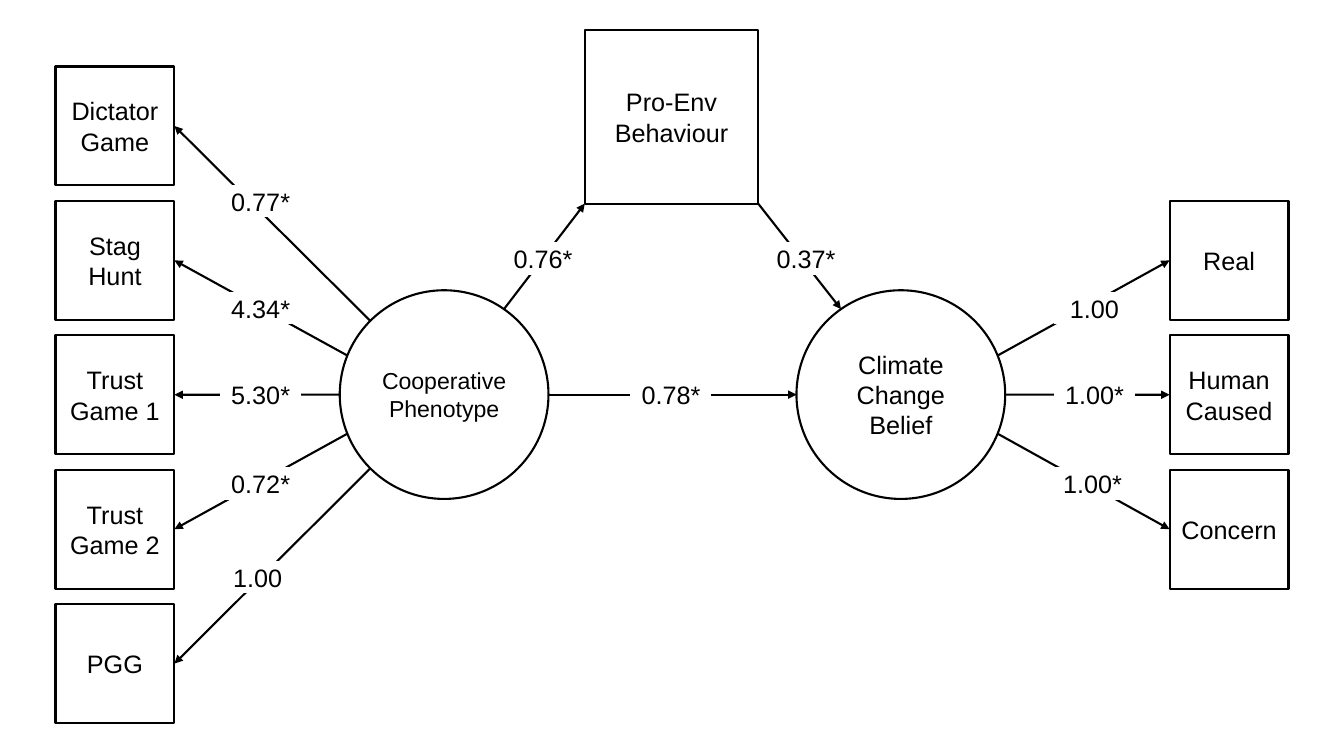
from math import cos, radians, sin

from lxml import etree
from pptx import Presentation
from pptx.dml.color import RGBColor
from pptx.enum.shapes import MSO_CONNECTOR, MSO_SHAPE
from pptx.enum.text import MSO_ANCHOR, PP_ALIGN
from pptx.oxml.ns import qn
from pptx.util import Inches, Pt

RECTANGLE, OVAL = MSO_SHAPE.RECTANGLE, MSO_SHAPE.OVAL
STRAIGHT = MSO_CONNECTOR.STRAIGHT
MIDDLE, CENTER = MSO_ANCHOR.MIDDLE, PP_ALIGN.CENTER
BLACK = RGBColor(0x00, 0x00, 0x00)
WHITE = RGBColor(0xFF, 0xFF, 0xFF)
FONT = "Arial"
LEFT_SIDE, RIGHT_SIDE = 1, 3

BOX_SIZE = 1.18
FIRST_ROW_TOP, ROW_PITCH = 0.66, 4 / 3
GAMES_LEFT, BELIEFS_LEFT = 0.55, 11.6
LATENT_SIZE, LATENT_TOP = 2.07, 2.88
PHENOTYPE_LEFT, BELIEF_LEFT = 3.37, 7.9
BEHAVIOUR_LEFT, BEHAVIOUR_TOP, BEHAVIOUR_SIZE = 5.8, 0.3, 1.72
MIDLINE = LATENT_TOP + LATENT_SIZE / 2

# Indicator, row, angle on the circle, loading, label left, label top
GAMES = [
    ("Dictator Game", 0, 135, "0.77*", 2.19, 1.84),
    ("Stag Hunt", 1, 158, "4.34*", 2.19, 2.9),
    ("Trust Game 1", 2, 180, "5.30*", 2.19, 3.76),
    ("Trust Game 2", 3, 202, "0.72*", 2.19, 4.64),
    ("PGG", 4, 225, "1.00", 2.16, 5.57),
]
BELIEFS = [
    ("Real", 1, 22, "1.00", 10.46, 2.9),
    ("Human Caused", 2, 0, "1.00*", 10.46, 3.76),
    ("Concern", 3, -22, "1.00*", 10.44, 4.64),
]
# Coefficient, label left, label top
PATHS = [("0.76*", 4.99, 2.41), ("0.37*", 7.6, 2.41), ("0.78*", 6.26, 3.76)]


def add_node(slide, kind, text, left, top, width, height,
             size=18, outline=BLACK, weight=1.5, inset=0.08):
    node = slide.shapes.add_shape(
        kind, Inches(left), Inches(top), Inches(width), Inches(height))
    node.shadow.inherit = False
    node.fill.solid()
    node.fill.fore_color.rgb = WHITE
    node.line.color.rgb = outline
    node.line.width = Pt(weight)
    frame = node.text_frame
    frame.word_wrap = True
    frame.vertical_anchor = MIDDLE
    frame.margin_left = frame.margin_right = Inches(inset)
    frame.margin_top = frame.margin_bottom = Inches(0)
    frame.text = text
    for paragraph in frame.paragraphs:
        paragraph.alignment = CENTER
        paragraph.font.name = FONT
        paragraph.font.size = Pt(size)
        paragraph.font.color.rgb = BLACK
    return node


def add_arrow(slide, start, end):
    arrow = slide.shapes.add_connector(STRAIGHT, *map(Inches, start + end))
    arrow.line.color.rgb = BLACK
    arrow.line.width = Pt(1.5)
    etree.SubElement(arrow.line._get_or_add_ln(), qn("a:tailEnd"), type="triangle")
    etree.SubElement(arrow._element.spPr, qn("a:effectLst"))
    return arrow


def add_coefficient(slide, text, left, top):
    add_node(slide, RECTANGLE, text, left, top, 0.79, 0.31,
             outline=WHITE, weight=1, inset=0)


def rim_point(circle_left, angle):
    """Point on a latent circle, counter-clockwise from its right side."""
    radius = LATENT_SIZE / 2
    return (circle_left + radius + radius * cos(radians(angle)),
            MIDLINE - radius * sin(radians(angle)))


def add_indicators(slide, indicators, left, circle_left, side):
    """Boxes in a column, each with an arrow from the circle and its loading."""
    edge = left + BOX_SIZE if side == RIGHT_SIDE else left
    for name, row, angle, loading, label_left, label_top in indicators:
        top = FIRST_ROW_TOP + row * ROW_PITCH
        box = add_node(slide, RECTANGLE, name, left, top, BOX_SIZE, BOX_SIZE)
        arrow = add_arrow(slide, rim_point(circle_left, angle),
                          (edge, top + BOX_SIZE / 2))
        arrow.end_connect(box, side)
        add_coefficient(slide, loading, label_left, label_top)


def add_structure(slide):
    """The two latent circles, the behaviour box and the paths between them."""
    add_node(slide, OVAL, "Cooperative\nPhenotype", PHENOTYPE_LEFT, LATENT_TOP,
             LATENT_SIZE, LATENT_SIZE, size=16.5)
    add_node(slide, OVAL, "Climate Change Belief", BELIEF_LEFT, LATENT_TOP,
             LATENT_SIZE, LATENT_SIZE)
    add_node(slide, RECTANGLE, "Pro-Env Behaviour", BEHAVIOUR_LEFT, BEHAVIOUR_TOP,
             BEHAVIOUR_SIZE, BEHAVIOUR_SIZE)
    behaviour_bottom = BEHAVIOUR_TOP + BEHAVIOUR_SIZE
    add_arrow(slide, rim_point(PHENOTYPE_LEFT, 55),
              (BEHAVIOUR_LEFT, behaviour_bottom))
    add_arrow(slide, (BEHAVIOUR_LEFT + BEHAVIOUR_SIZE, behaviour_bottom),
              rim_point(BELIEF_LEFT, 125))
    add_arrow(slide, rim_point(PHENOTYPE_LEFT, 0), rim_point(BELIEF_LEFT, 180))
    for path_label in PATHS:
        add_coefficient(slide, *path_label)


def main():
    prs = Presentation()
    prs.slide_width, prs.slide_height = Inches(13.33), Inches(7.5)
    slide = prs.slides.add_slide(prs.slide_layouts[6])
    add_structure(slide)
    add_indicators(slide, GAMES, GAMES_LEFT, PHENOTYPE_LEFT, RIGHT_SIDE)
    add_indicators(slide, BELIEFS, BELIEFS_LEFT, BELIEF_LEFT, LEFT_SIDE)
    prs.save("out.pptx")


if __name__ == "__main__":
    main()
